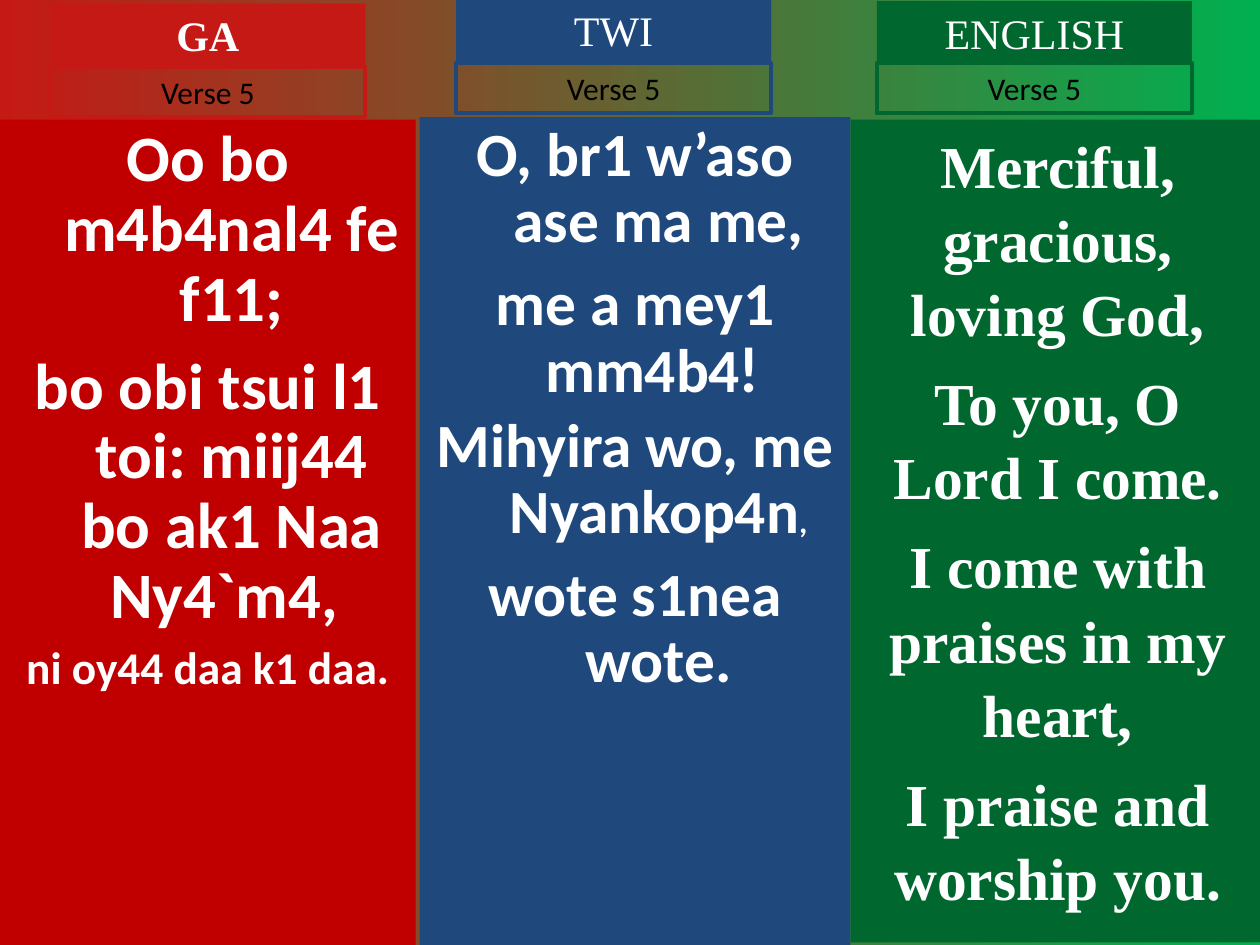
from pptx import Presentation
from pptx import util as u
from pptx.dml.color import RGBColor
from pptx.enum import shapes, text

RED, BLUE, GREEN = "C00000", "1F497D", "00682F"
BRIGHT_RED, WHITE, BLACK = "C51915", "FFFFFF", "000000"
SANS, LATO, SERIF = "Calibri", "Lato", "Times New Roman"
HANG = u.Pt(27)


def rgb(value):
    return RGBColor.from_string(value)


def set_background(slide, start, end):
    fill = slide.background.fill
    fill.gradient()
    fill.gradient_angle = 0
    for stop, position, color in zip(fill.gradient_stops, (0, 1), (start, end)):
        stop.position = position
        stop.color.rgb = rgb(color)


def add_box(slide, left, top, width, height, fill=None, line=None):
    sp = slide.shapes.add_shape(shapes.MSO_SHAPE.RECTANGLE, u.Pt(left), u.Pt(top), u.Pt(width), u.Pt(height))
    sp.shadow.inherit = False
    if fill:
        sp.fill.solid()
        sp.fill.fore_color.rgb = rgb(fill)
    else:
        sp.fill.background()
    if line:
        sp.line.color.rgb = rgb(line)
        sp.line.width = u.Pt(2.25)
    else:
        sp.line.fill.background()
    tf = sp.text_frame
    tf.word_wrap = True
    tf.vertical_anchor = text.MSO_ANCHOR.TOP
    return tf


def add_run(p, words, size, font, color, bold):
    r = p.add_run()
    r.text = words
    r.font.size = u.Pt(size)
    r.font.name = font
    r.font.color.rgb = rgb(color)
    r.font.bold = bold


def add_label(slide, words, left, top, height, size, font, color, bold=False, fill=None, line=None):
    tf = add_box(slide, left, top, 180, height, fill, line)
    p = tf.paragraphs[0]
    p.alignment = text.PP_ALIGN.CENTER
    add_run(p, words, size, font, color, bold)


def add_verse(slide, box, fill, paragraphs, line_spacing, hanging):
    tf = add_box(slide, *box, fill=fill)
    for i, (before, runs) in enumerate(paragraphs):
        p = tf.add_paragraph() if i else tf.paragraphs[0]
        p.alignment = text.PP_ALIGN.CENTER
        p.line_spacing = line_spacing
        p.space_before = u.Pt(before if i else 0)
        if hanging:
            pPr = p._p.get_or_add_pPr()
            pPr.set("marL", str(HANG))
            pPr.set("indent", str(-HANG))
        for words, size, font in runs:
            add_run(p, words, size, font, WHITE, True)


def main():
    prs = Presentation()
    prs.slide_width, prs.slide_height = u.Pt(720), u.Pt(540)
    slide = prs.slides.add_slide(prs.slide_layouts[6])
    set_background(slide, BRIGHT_RED, "00B050")

    ga = [
        (0, [("Oo bo m4b4nal4 fe f11;", 37, SANS)]),
        (10, [("bo obi tsui l1 toi: miij44 bo ak1 Naa Ny4`m4, ", 37, SANS)]),
        (7, [("ni oy44 daa k1 daa.", 25.9, SANS)]),
    ]
    twi = [
        (0, [("O, br1 w’aso ase ma me,", 35.1, SANS)]),
        (9.5, [("me a mey1 mm4b4", 35.1, SANS), ("! ", 35.1, LATO)]),
        (5, [("Mihyira wo, me Nyankop4n", 35.1, SANS), (",", 18.5, SANS)]),
        (9.5, [("wote s1nea wote.", 35.1, SANS)]),
    ]
    english = [
        (8.5, [(words, 34, SERIF)])
        for words in (
            "Merciful, gracious, loving God,",
            "To you, O Lord I come.",
            "I come with praises in my heart,",
            "I praise and worship you.",
        )
    ]
    add_verse(slide, (0, 68.4, 237.6, 471.6), RED, ga, 0.9, True)
    add_verse(slide, (239.76, 67, 246.24, 473), BLUE, twi, 0.9, True)
    add_verse(slide, (486, 68.4, 236.88, 470.16), GREEN, english, 1.04, False)

    for name, color, left, name_top, verse_top, bold in (
        ("GA", BRIGHT_RED, 28.8, 2.16, 38.16, True),
        ("TWI", BLUE, 260.64, -0.72, 36, False),
        ("ENGLISH", GREEN, 501.12, 0.72, 36, False),
    ):
        add_label(slide, name, left, name_top, 36, 24, SERIF, WHITE, bold, fill=color)
        add_label(slide, "Verse 5", left, verse_top, 28.8, 18, SANS, BLACK, line=color)

    prs.save("out.pptx")


if __name__ == "__main__":
    main()
